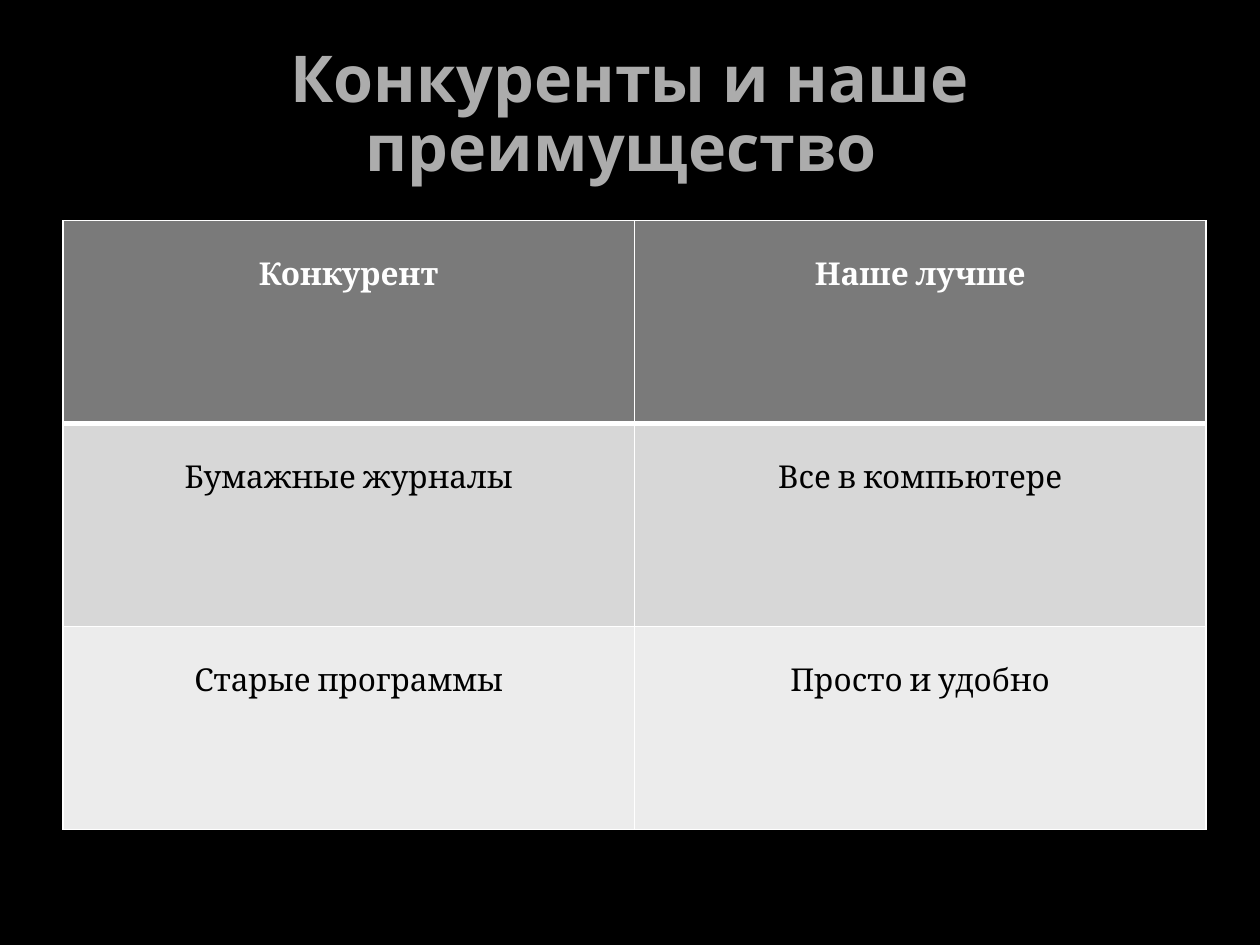
from lxml import etree
from pptx import Presentation
from pptx import util as u
from pptx.dml.color import RGBColor
from pptx.enum import text
from pptx.oxml import ns

ROWS = [
    ("Конкурент", "Наше лучше"),
    ("Бумажные журналы", "Все в компьютере"),
    ("Старые программы", "Просто и удобно"),
]
ROW_FILLS = ["7A7A7A", "D7D7D7", "ECECEC"]


def colour(value):
    return RGBColor.from_string(value)


class ComparisonPage:
    """Holds the style and the current slide and draws its elements."""

    title_font = "Open Sans"
    body_font = "Cambria"
    white = "FFFFFF"
    black = "000000"
    grey = "ACACAC"

    def __init__(self, deck):
        self.page = deck.slides.add_slide(deck.slide_layouts[5])
        fill = self.page.background.fill
        fill.solid()
        fill.fore_color.rgb = colour(self.black)

    def add_span(self, para, words, font, size, ink, bold):
        para.alignment = text.PP_ALIGN.CENTER
        span = para.add_run()
        span.text = words
        span.font.name = font
        span.font.size = u.Pt(size)
        span.font.bold = bold
        span.font.color.rgb = colour(ink)

    def title(self, words, left, top, width, height):
        box = self.page.shapes.title
        box.left, box.top = u.Cm(left), u.Cm(top)
        box.width, box.height = u.Cm(width), u.Cm(height)
        frame = box.text_frame
        frame.word_wrap = True
        frame.auto_size = text.MSO_AUTO_SIZE.NONE
        frame.vertical_anchor = text.MSO_ANCHOR.MIDDLE
        para = frame.paragraphs[0]
        para.line_spacing = 0.89
        self.add_span(para, words, self.title_font, 36.9, self.grey, True)

    def border(self, cell, side, points):
        properties = cell._tc.get_or_add_tcPr()
        line = etree.SubElement(properties, ns.qn(f"a:ln{side}"), w=str(u.Pt(points)))
        solid = etree.SubElement(line, ns.qn("a:solidFill"))
        etree.SubElement(solid, ns.qn("a:srgbClr"), val=self.white)

    def cell(self, cell, words, shade, header, below_header):
        cell.margin_top = u.Cm(0.74)
        widths = {"L": 1, "R": 1, "T": 3 if below_header else 1, "B": 3 if header else 1}
        for side, points in widths.items():
            self.border(cell, side, points)
        cell.fill.solid()
        cell.fill.fore_color.rgb = colour(shade)
        ink = self.white if header else self.black
        para = cell.text_frame.paragraphs[0]
        self.add_span(para, words, self.body_font, 18, ink, header)

    def table(self, rows, shades, left, top, width, height):
        frame = self.page.shapes.add_table(
            len(rows), len(rows[0]), u.Cm(left), u.Cm(top), u.Cm(width), u.Cm(height)
        )
        for row, (entries, shade) in enumerate(zip(rows, shades)):
            for column, words in enumerate(entries):
                self.cell(frame.table.cell(row, column), words, shade, row == 0, row == 1)


def main():
    deck = Presentation()
    deck.slide_width, deck.slide_height = u.Cm(25.4), u.Cm(19.05)
    page = ComparisonPage(deck)
    page.title("Конкуренты и наше преимущество ", 1.27, 0.76, 22.86, 3.18)
    page.table(ROWS, ROW_FILLS, 1.27, 4.45, 23.04, 12.27)
    deck.save("out.pptx")


if __name__ == "__main__":
    main()
